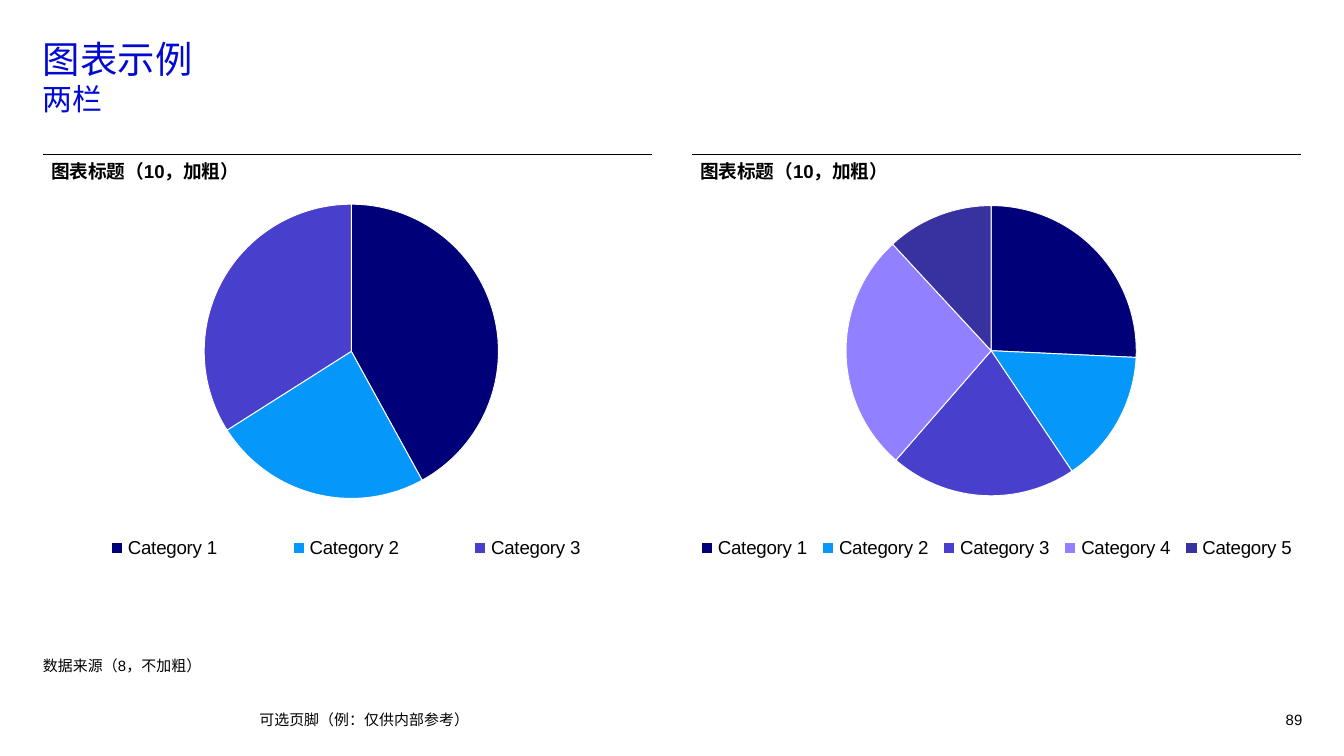
from dataclasses import dataclass

from lxml import etree
from pptx import Presentation
from pptx.chart.data import CategoryChartData
from pptx.dml.color import RGBColor
from pptx.enum.chart import XL_CHART_TYPE as ChartType, XL_LEGEND_POSITION as LegendSide
from pptx.enum.lang import MSO_LANGUAGE_ID as Language
from pptx.enum.shapes import MSO_CONNECTOR as Connector
from pptx.enum.text import MSO_ANCHOR as Anchor, PP_ALIGN as Align
from pptx.oxml import parse_xml
from pptx.oxml.ns import nsdecls, qn
from pptx.slide import Slide
from pptx.util import Inches, Pt

BLACK, WHITE, TITLE_BLUE = "000000", "FFFFFF", "000AD2"
PALETTE = ["000078", "0598FA", "483FCD", "9180FF", "3831A0"]
BODY_FONT, TITLE_FONT = "Arial", "Noto Sans CJK SC"
SLIDE_WIDTH = 10
SLIDE_HEIGHT = SLIDE_WIDTH * 9 / 16
MARGIN, FULL_WIDTH = 0.32, 9.37
COLUMN_WIDTH, CHART_HEIGHT = 4.53, 3.15
CHART_TITLE = "图表标题（10，加粗）"
LEGEND_AREA = (0, 2.78, COLUMN_WIDTH, 0.28)


@dataclass
class Label:
    lines: list[tuple[str, float]]
    area: tuple[float, float, float, float]
    font: str = BODY_FONT
    color: str = BLACK
    bold: bool = False
    anchor: Anchor = Anchor.TOP
    align: Align = Align.LEFT
    spacing: float = 1.0
    left_inset: float = 0


@dataclass
class PieColumn:
    left: float
    chart_left: float
    values: list[int]
    plot: tuple[float, float, float, float]  # inches within the chart
    base_size: float
    title_left: float
    title_inset: float = 0


def rgb(value: str) -> RGBColor:
    return RGBColor.from_string(value)


def apply(target, values: dict) -> None:
    for name, value in values.items():
        setattr(target, name, value)


def add_label(page: Slide, label: Label) -> None:
    box = page.shapes.add_textbox(*map(Inches, label.area))
    frame = box.text_frame
    apply(frame, {"word_wrap": True, "vertical_anchor": label.anchor,
                  "margin_left": Inches(label.left_inset), "margin_right": 0,
                  "margin_top": 0, "margin_bottom": 0})
    para = frame.paragraphs[0]
    apply(para, {"alignment": label.align, "line_spacing": label.spacing})
    for index, (text, size) in enumerate(label.lines):
        if index:
            para.add_line_break()
        span = para.add_run()
        span.text = text
        apply(span.font, {"name": label.font, "size": Pt(size), "bold": label.bold,
                          "language_id": Language.SIMPLIFIED_CHINESE})
        span.font.color.rgb = rgb(label.color)


def add_rule(page: Slide, left: float) -> None:
    rule = page.shapes.add_connector(Connector.STRAIGHT, Inches(left), Inches(1.15),
                                     Inches(left + COLUMN_WIDTH), Inches(1.15))
    rule.line.width = Pt(0.75)
    rule.line.color.rgb = rgb(BLACK)
    etree.SubElement(rule._element.spPr, qn("a:effectLst"))


def set_layout(parent, before: str, area: tuple, inner: bool = False) -> None:
    """Place a plot area or legend, given in inches within the chart."""
    for old in parent.findall(qn("c:layout")):
        parent.remove(old)
    target = '<c:layoutTarget val="inner"/>' if inner else ""
    modes = '<c:xMode val="edge"/><c:yMode val="edge"/>'
    sizes = "".join(f'<c:{key} val="{value / whole:.4f}"/>' for key, value, whole
                    in zip("xywh", area, (COLUMN_WIDTH, CHART_HEIGHT) * 2))
    layout = parse_xml(f'<c:layout {nsdecls("c")}><c:manualLayout>{target}{modes}{sizes}'
                       "</c:manualLayout></c:layout>")
    parent.find(qn(before)).addprevious(layout)


def style_font(font, size: float) -> None:
    apply(font, {"name": BODY_FONT, "size": Pt(size)})
    font.color.rgb = rgb(BLACK)


def add_pie(page: Slide, column: PieColumn) -> None:
    data = CategoryChartData()
    data.categories = [f"Category {n}" for n in range(1, len(column.values) + 1)]
    data.add_series("Series 1", column.values)
    area = map(Inches, (column.chart_left, 1.16, COLUMN_WIDTH, CHART_HEIGHT))
    chart = page.shapes.add_chart(ChartType.PIE, *area, data).chart
    apply(chart, {"has_title": False, "has_legend": True})
    style_font(chart.font, column.base_size)

    # Slices
    plot = chart.plots[0]
    plot.vary_by_categories = True
    for index, color in enumerate(PALETTE[:len(column.values)]):
        slice_format = plot.series[0].points[index].format
        slice_format.fill.solid()
        slice_format.fill.fore_color.rgb = rgb(color)
        slice_format.line.width = Pt(0.5)
        slice_format.line.color.rgb = rgb(WHITE)

    # Legend row and plot position
    legend = chart.legend
    apply(legend, {"position": LegendSide.RIGHT, "include_in_layout": False})
    style_font(legend.font, 10)
    set_layout(legend._element, "c:overlay", LEGEND_AREA)
    plot_area = chart._chartSpace.chart.plotArea
    set_layout(plot_area, "c:pieChart", column.plot, inner=True)


def main() -> None:
    deck = Presentation()
    apply(deck, {"slide_width": Inches(SLIDE_WIDTH), "slide_height": Inches(SLIDE_HEIGHT)})
    page = deck.slides.add_slide(deck.slide_layouts[6])

    # Title
    add_label(page, Label([("图表示例", 20), ("两栏", 16)], (MARGIN, 0.27, FULL_WIDTH, 0.72),
                          font=TITLE_FONT, color=TITLE_BLUE))

    # Two chart columns
    columns = [
        PieColumn(MARGIN, 0.31, [42, 24, 34], (1.21, 0.36, 2.19, 2.19), 10, 0.37, 0.01),
        PieColumn(5.15, 5.15, [26, 15, 21, 27, 12], (1.14, 0.37, 2.17, 2.16), 8, 5.21),
    ]
    for column in columns:
        add_rule(page, column.left)
        add_pie(page, column)
        add_label(page, Label([(CHART_TITLE, 10)], (column.title_left, 1.19, 4.47, 0.17),
                              bold=True, left_inset=column.title_inset))

    # Source, footer and page number
    add_label(page, Label([("数据来源（8，不加粗）", 8)], (MARGIN, 4.49, FULL_WIDTH, 0.53),
                          anchor=Anchor.BOTTOM, spacing=1.1))
    add_label(page, Label([("可选页脚（例：仅供内部参考）", 8)], (1.93, 5.28, 6.46, 0.15),
                          anchor=Anchor.MIDDLE))
    add_label(page, Label([("89", 8)], (9.3, 5.28, 0.39, 0.15),
                          anchor=Anchor.MIDDLE, align=Align.RIGHT))
    deck.save("out.pptx")


if __name__ == "__main__":
    main()
